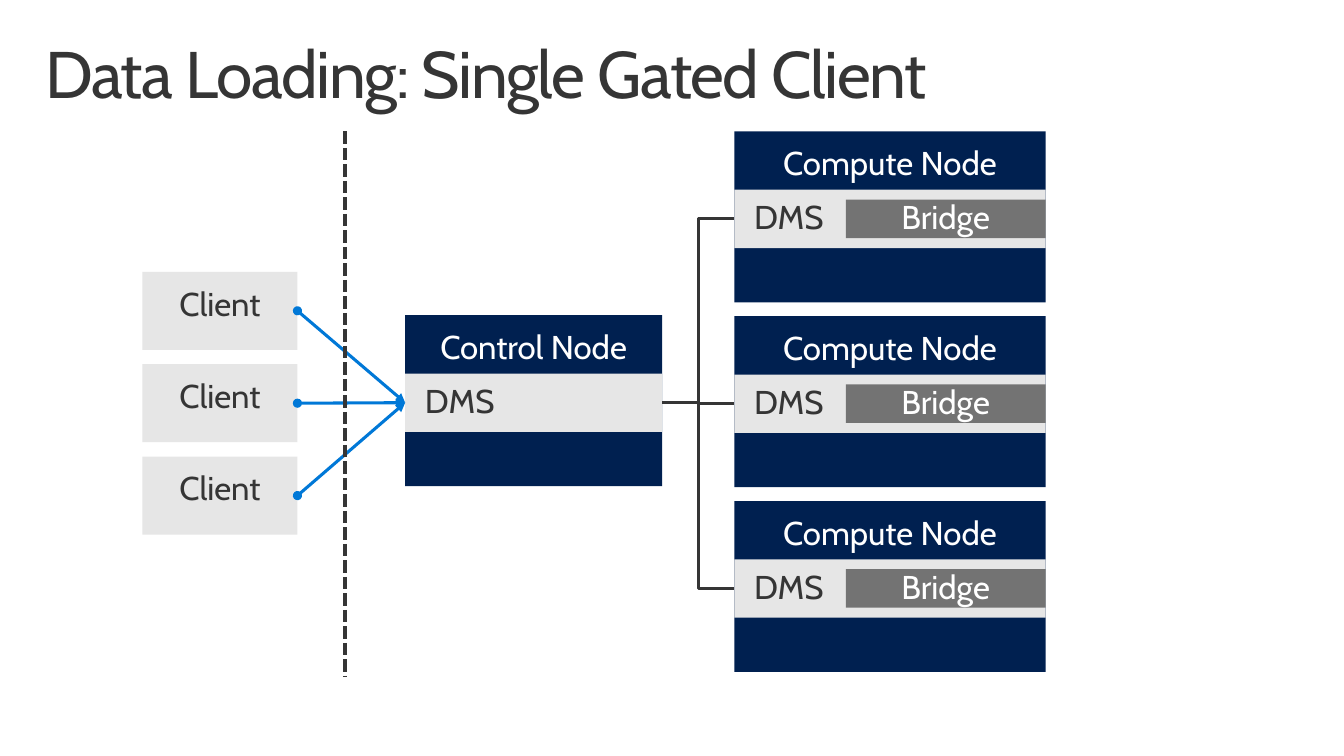
from lxml.etree import SubElement
from pptx import Presentation
from pptx.dml.color import RGBColor
from pptx.enum.dml import MSO_LINE
from pptx.enum.shapes import MSO_CONNECTOR, MSO_SHAPE
from pptx.enum.text import MSO_ANCHOR, PP_ALIGN
from pptx.oxml.ns import qn
from pptx.util import Inches, Pt

NAVY = RGBColor(0x00, 0x20, 0x50)
LIGHT_GRAY = RGBColor(0xE6, 0xE6, 0xE6)
MID_GRAY = RGBColor(0x73, 0x73, 0x73)
DARK = RGBColor(0x35, 0x35, 0x35)
BLUE = RGBColor(0x00, 0x78, 0xD7)
WHITE = RGBColor(0xFF, 0xFF, 0xFF)

LEFT_SITE, RIGHT_SITE = 1, 3
NODE_HEIGHT = 1.73
DMS_OFFSET, DMS_HEIGHT = 0.59, 0.59

presentation = Presentation()
presentation.slide_width = Inches(13.6)
presentation.slide_height = Inches(7.65)
slide = presentation.slides.add_slide(presentation.slide_layouts[6])


def add_box(text, left, top, width, height, fill=None, color=DARK, size=24,
            align=PP_ALIGN.CENTER, anchor=MSO_ANCHOR.TOP, margins=(0.2, 0.16)):
    """Add a filled rectangle, or a plain text box when fill is None."""
    bounds = [Inches(value) for value in (left, top, width, height)]
    if fill is None:
        shape = slide.shapes.add_textbox(*bounds)
    else:
        shape = slide.shapes.add_shape(MSO_SHAPE.RECTANGLE, *bounds)
        shape.shadow.inherit = False
        shape.fill.solid()
        shape.fill.fore_color.rgb = fill
        shape.line.fill.background()
    frame = shape.text_frame
    side, end = (Inches(margin) for margin in margins)
    frame_format = {"word_wrap": True, "vertical_anchor": anchor,
                    "margin_left": side, "margin_right": side,
                    "margin_top": end, "margin_bottom": end}
    for name, value in frame_format.items():
        setattr(frame, name, value)
    paragraph = frame.paragraphs[0]
    paragraph.alignment = align
    paragraph.line_spacing = 0.9
    run = paragraph.add_run()
    run.text = text
    for name, value in {"name": "Cabin", "size": Pt(size)}.items():
        setattr(run.font, name, value)
    run.font.color.rgb = color
    return shape


def add_line(kind, color, width, start=(0, 0), end=(0, 0)):
    points = [Inches(value) for value in (*start, *end)]
    connector = slide.shapes.add_connector(kind, *points)
    connector.line.color.rgb = color
    connector.line.width = Pt(width)
    SubElement(connector._element.spPr, qn("a:effectLst"))
    return connector


title = add_box("Data Loading: Single Gated Client", 0.3, 0.32, 13, 1, size=48,
                align=PP_ALIGN.LEFT, margins=(0.16, 0.1))
title.text_frame.paragraphs[0].runs[0]._r.get_or_add_rPr().set("spc", "-100")

clients = [add_box("Client", 1.44, 2.75 + 0.935 * row, 1.57, 0.79, LIGHT_GRAY)
           for row in range(3)]

# Control node first, then the column of compute nodes
nodes = [("Control Node", 4.1, 3.19, 2.6)]
nodes += [("Compute Node", 7.43, 1.33 + 1.87 * row, 3.15) for row in range(3)]
dms_bars = []
for label, left, top, width in nodes:
    add_box(label, left, top, width, NODE_HEIGHT, NAVY, WHITE)
    dms_bars.append(add_box("DMS", left, top + DMS_OFFSET, width, DMS_HEIGHT, LIGHT_GRAY,
                            align=PP_ALIGN.LEFT, anchor=MSO_ANCHOR.MIDDLE))
    if label == "Compute Node":
        add_box("Bridge", left + 1.13, top + 0.69, 2.02, 0.39, MID_GRAY, WHITE,
                anchor=MSO_ANCHOR.MIDDLE)
control_dms, *compute_dms = dms_bars

for bar in compute_dms:
    link = add_line(MSO_CONNECTOR.ELBOW, DARK, 2.25)
    link.begin_connect(control_dms, RIGHT_SITE)
    link.end_connect(bar, LEFT_SITE)

for client in clients:
    arrow = add_line(MSO_CONNECTOR.STRAIGHT, BLUE, 2.25)
    arrow.begin_connect(client, RIGHT_SITE)
    arrow.end_connect(control_dms, LEFT_SITE)
    for tag, head in (("a:headEnd", "oval"), ("a:tailEnd", "triangle")):
        SubElement(arrow.line._get_or_add_ln(), qn(tag), type=head)

boundary = add_line(MSO_CONNECTOR.STRAIGHT, DARK, 3, (3.49, 1.33), (3.49, 6.84))
boundary.line.dash_style = MSO_LINE.SQUARE_DOT

presentation.save("out.pptx")
